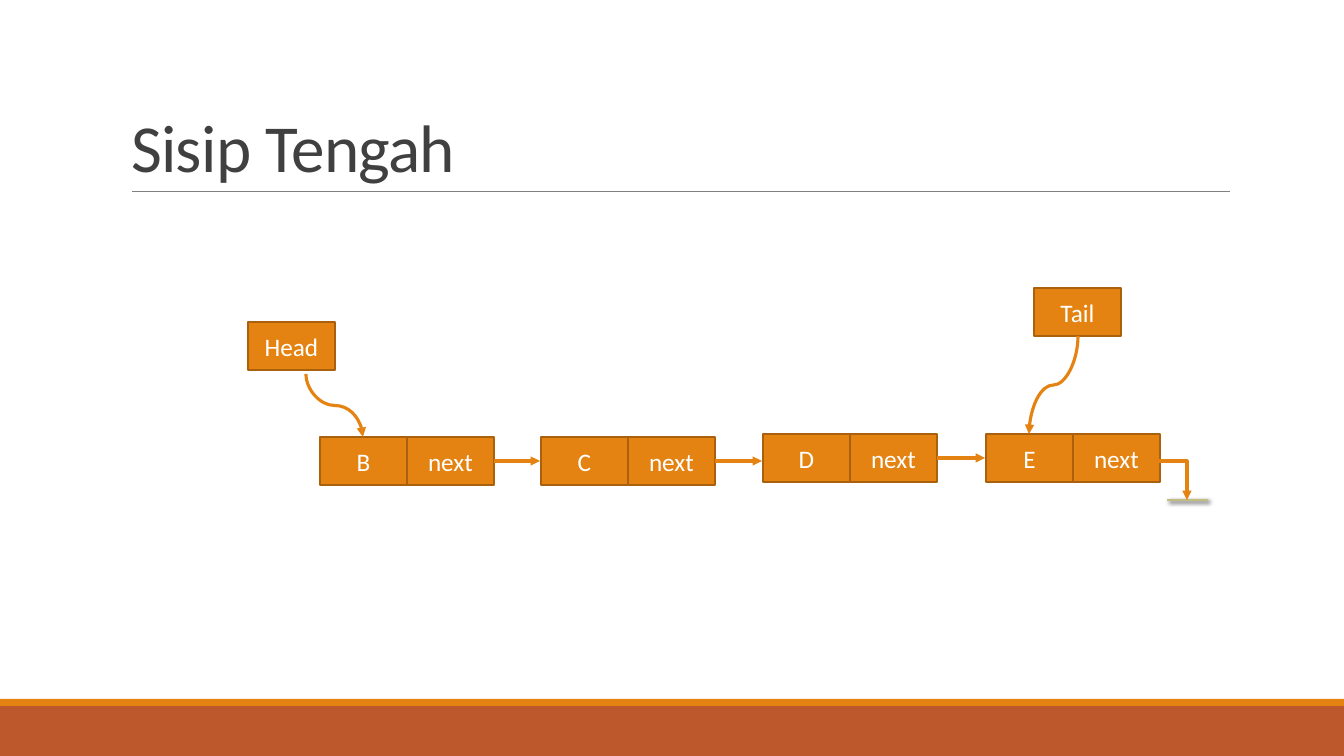
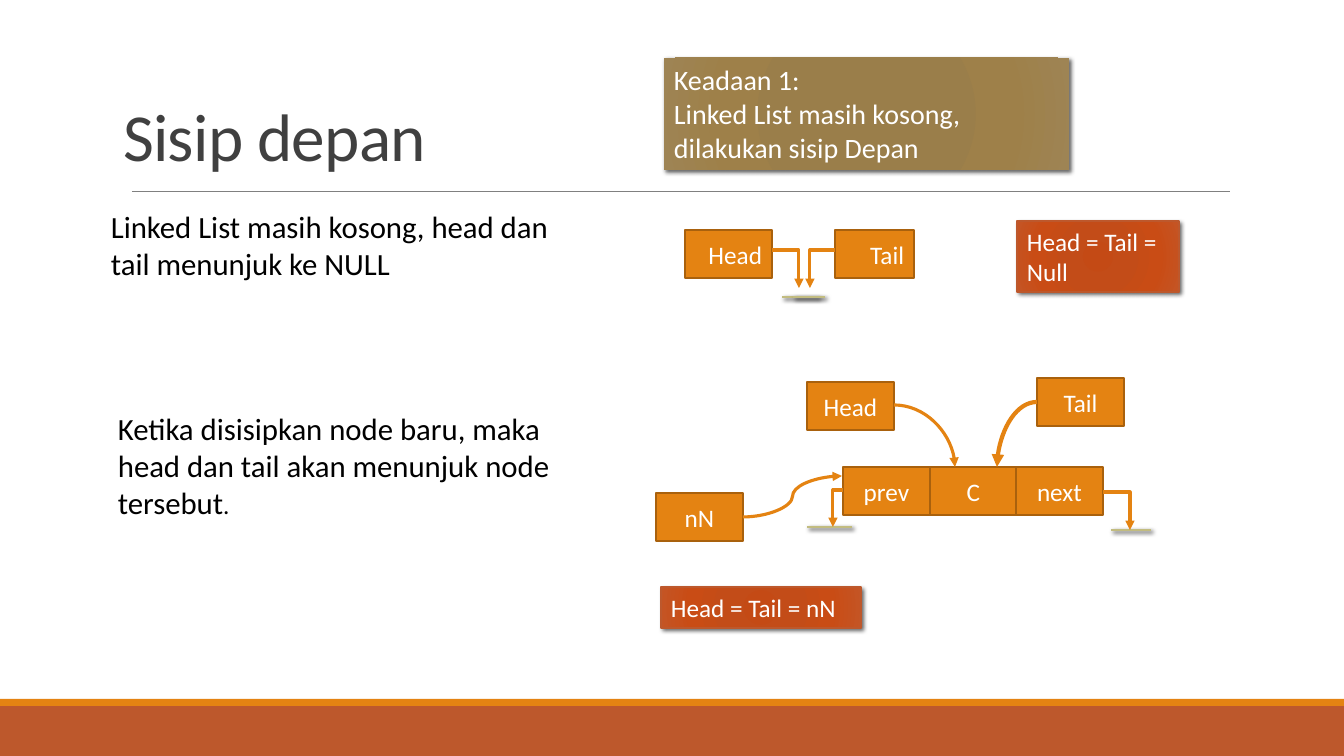
from lxml import etree
from pptx import Presentation
from pptx import util as u
from pptx.dml.color import RGBColor
from pptx.enum import shapes, text
from pptx.oxml import parse_xml
from pptx.oxml.ns import nsdecls, qn

WHITE = RGBColor(0xFF, 0xFF, 0xFF)
BLACK = RGBColor(0x00, 0x00, 0x00)
TITLE_GREY = RGBColor(0x40, 0x40, 0x40)
RULE_GREY = RGBColor(0x80, 0x80, 0x80)
ORANGE = RGBColor(0xE4, 0x83, 0x12)
DARK_ORANGE = RGBColor(0xA9, 0x61, 0x0D)
RUST = RGBColor(0xBD, 0x58, 0x2C)
KHAKI = RGBColor(0xC2, 0xBC, 0x80)
BROWN_STOPS = [RGBColor(0x9A, 0x7D, 0x48), RGBColor(0x9A, 0x7E, 0x4A),
               RGBColor(0x9E, 0x80, 0x49), RGBColor(0x9E, 0x84, 0x54)]
RED_STOPS = [RGBColor(0xC4, 0x4A, 0x15), RGBColor(0xC3, 0x4C, 0x18),
             RGBColor(0xC9, 0x4C, 0x15), RGBColor(0xC4, 0x55, 0x25)]
STOP_POSITIONS = [0, 34, 70, 100]

FONT = "Calibri"
WIDTH, HEIGHT = 1344, 756
SCALE = u.Inches(13.3333) / WIDTH
NODE_W, NODE_H = 87, 48
CENTER, RIGHT = text.PP_ALIGN.CENTER, text.PP_ALIGN.RIGHT
STRAIGHT = shapes.MSO_CONNECTOR.STRAIGHT
ELBOW = shapes.MSO_CONNECTOR.ELBOW
CURVE = shapes.MSO_CONNECTOR.CURVE
SHADOW = (
    '<a:outerShdw blurRad="38100" dist="25400" dir="2700000" algn="tl" rotWithShape="0">'
    '<a:srgbClr val="000000"><a:alpha val="60000"/></a:srgbClr></a:outerShdw>')


def px(*lengths):
    return [u.Emu(round(length * SCALE)) for length in lengths]


def set_effects(shape, effects=""):
    """Give the shape exactly these effects; none by default."""
    shape.element.spPr.append(
        parse_xml(f'<a:effectLst {nsdecls("a")}>{effects}</a:effectLst>'))


# Nodes: label, left, top, width, alignment
# Arrows: connector, preset or None, start, end, line width
# Upright arrows: start, end; these leave and arrive vertically
# Grounds: left, right, y
# Notes: box, size, colour, gradient stops, outlined, paragraphs of (text, size) runs
middle_chain = [("B", 320, 437), ("C", 541, 437), ("D", 763, 434), ("E", 986, 434)]
middle_nodes = [("Head", 248, 322, NODE_W, CENTER), ("Tail", 1034, 288, NODE_W, CENTER)]
for label, left, top in middle_chain:
    middle_nodes.append((label, left, top, NODE_W, CENTER))
    middle_nodes.append(("next", left + NODE_W, top, NODE_W, CENTER))
middle_arrows = [(ELBOW, "bentConnector2", (1159, 461), (1187, 500), 2.25)]
for (_, left, top), (_, following, _) in zip(middle_chain, middle_chain[1:]):
    y = top + NODE_H // 2
    middle_arrows.append((STRAIGHT, None, (left + 2 * NODE_W, y), (following - 1, y), 2.25))

contents = [
    {
        "title": "Sisip Tengah",
        "title_box": (121, 31, 1109, 160),
        "nodes": middle_nodes,
        "arrows": middle_arrows,
        "upright": [((306, 374), (363, 437)), ((1078, 336), (1029, 434))],
        "grounds": [(1167, 1208, 500)],
        "notes": [],
    },
    {
        "title": "Sisip depan",
        "title_box": (113, 65, 1072, 115),
        "nodes": [
            ("Head", 685, 230, NODE_W, RIGHT),
            ("Tail", 835, 230, 79, RIGHT),
            ("Head", 807, 382, NODE_W, CENTER),
            ("Tail", 1037, 378, NODE_W, CENTER),
            ("nN", 656, 493, NODE_W, CENTER),
            ("prev", 843, 467, NODE_W, CENTER),
            ("C", 930, 467, NODE_W, CENTER),
            ("next", 1016, 467, NODE_W, CENTER),
        ],
        "arrows": [
            (ELBOW, "bentConnector2", (772, 250), (799, 288), 2.25),
            (ELBOW, "bentConnector2", (835, 250), (810, 288), 2.25),
            (ELBOW, "bentConnector2", (1103, 492), (1130, 530), 2.25),
            (ELBOW, "bentConnector2", (843, 490), (833, 527), 2.25),
            (CURVE, "curvedConnector2", (894, 405), (955, 467), 2.25),
            (CURVE, "curvedConnector2", (1037, 402), (997, 467), 3),
            (CURVE, None, (743, 517), (842, 476), 2.25),
        ],
        "upright": [],
        "grounds": [(782, 819, 297), (793, 825, 297), (1111, 1151, 530), (807, 852, 527)],
        "notes": [
            ((101, 203, 459, 197), BLACK, None, False,
             [[("Linked List masih kosong, head dan tail menunjuk ke NULL", 22)]]),
            ((108, 405, 452, 152), BLACK, None, False,
             [[("Ketika disisipkan node baru, maka head dan tail akan menunjuk node tersebut", 22),
               (".", 18)]]),
            ((664, 58, 405, 112), WHITE, BROWN_STOPS, False,
             [[("Keadaan 1:", 20)],
              [("Linked List masih kosong, dilakukan sisip Depan", 20)]]),
            ((1017, 221, 162, 71), WHITE, RED_STOPS, True, [[("Head = Tail = Null", 18)]]),
            ((661, 587, 200, 41), WHITE, RED_STOPS, True, [[("Head = Tail = nN", 18)]]),
        ],
    },
]

prs = Presentation()
prs.slide_width, prs.slide_height = px(WIDTH, HEIGHT)
layout = prs.slide_layouts[5]
for placeholder in list(layout.placeholders)[1:]:
    placeholder.element.getparent().remove(placeholder.element)
slides = [prs.slides.add_slide(layout) for _ in contents]

# Bands and title rule are drawn once, then moved to the shared layout
canvas = slides[0].shapes
shared_parts = []
for top, height, colour in [(706, 50, RUST), (699, 7, ORANGE)]:
    band = canvas.add_shape(shapes.MSO_SHAPE.RECTANGLE, *px(0, top, WIDTH, height))
    band.fill.solid()
    band.fill.fore_color.rgb = colour
    band.line.fill.background()
    shared_parts.append(band)
title_rule = canvas.add_connector(STRAIGHT, *px(132, 191, 1230, 191))
title_rule.line.color.rgb = RULE_GREY
title_rule.line.width = u.Pt(0.5)
shared_parts.append(title_rule)
for part in shared_parts:
    set_effects(part)
    layout.shapes.element.append(part.element)

for slide, content in zip(slides, contents):
    title = slide.shapes.title
    title.left, title.top, title.width, title.height = px(*content["title_box"])
    title.text_frame.auto_size = text.MSO_AUTO_SIZE.NONE
    title.text_frame.vertical_anchor = text.MSO_ANCHOR.BOTTOM
    heading = title.text_frame.paragraphs[0]
    heading.alignment = text.PP_ALIGN.LEFT
    heading.line_spacing = 0.85
    run = heading.add_run()
    run.text = content["title"]
    run.font.name = FONT
    run.font.size = u.Pt(48)
    run.font.color.rgb = TITLE_GREY
    run.font._element.set("spc", "-50")

    for label, left, top, width, alignment in content["nodes"]:
        node = slide.shapes.add_shape(
            shapes.MSO_SHAPE.RECTANGLE, *px(left, top, width, NODE_H))
        node.shadow.inherit = False
        node.fill.solid()
        node.fill.fore_color.rgb = ORANGE
        node.line.color.rgb = DARK_ORANGE
        node.line.width = u.Pt(1.25)
        node.text_frame.vertical_anchor = text.MSO_ANCHOR.MIDDLE
        paragraph = node.text_frame.paragraphs[0]
        paragraph.alignment = alignment
        run = paragraph.add_run()
        run.text = label
        run.font.name = FONT
        run.font.size = u.Pt(18)
        run.font.color.rgb = WHITE

    for left, right, y in content["grounds"]:
        ground = slide.shapes.add_connector(STRAIGHT, *px(left, y, right, y))
        ground.line.color.rgb = KHAKI
        ground.line.width = u.Pt(2)
        set_effects(ground, SHADOW)

    arrows = [(*arrow, 0) for arrow in content["arrows"]]
    for (x1, y1), (x2, y2) in content["upright"]:
        # A quarter turn about the middle makes the curve leave vertically
        middle_x, middle_y = (x1 + x2) / 2, (y1 + y2) / 2
        side = 1 if x2 > x1 else -1
        reach, rise = side * (y2 - y1) / 2, abs(x2 - x1) / 2
        arrows.append((CURVE, None, (middle_x + reach, middle_y - rise),
                       (middle_x - reach, middle_y + rise), 2.25, 180 + side * 90))
    for kind, preset, start, end, weight, rotation in arrows:
        arrow = slide.shapes.add_connector(kind, *px(*start, *end))
        arrow.line.color.rgb = ORANGE
        arrow.line.width = u.Pt(weight)
        properties = arrow.element.spPr
        if preset:
            properties.find(qn("a:prstGeom")).set("prst", preset)
        if rotation:
            properties.find(qn("a:xfrm")).set("rot", str(rotation * 60000))
        etree.SubElement(properties.find(qn("a:ln")), qn("a:tailEnd"), type="triangle")
        set_effects(arrow)

    for box, colour, stops, outlined, paragraphs in content["notes"]:
        note = slide.shapes.add_textbox(*px(*box))
        frame = note.text_frame
        frame.word_wrap = True
        if stops:
            stop_list = "".join(
                f'<a:gs pos="{position * 1000}"><a:srgbClr val="{stop}"/></a:gs>'
                for position, stop in zip(STOP_POSITIONS, stops))
            gradient = parse_xml(
                f'<a:gradFill {nsdecls("a")} rotWithShape="1"><a:gsLst>{stop_list}</a:gsLst>'
                '<a:path path="circle"><a:fillToRect l="100000" t="100000" r="100000"'
                ' b="100000"/></a:path></a:gradFill>')
            properties = note.element.spPr
            properties.replace(properties.find(qn("a:noFill")), gradient)
            if outlined:
                note.line.color.rgb = RUST
                note.line.width = u.Pt(1)
            set_effects(note, SHADOW)
        for index, runs in enumerate(paragraphs):
            paragraph = frame.add_paragraph() if index else frame.paragraphs[0]
            for words, size in runs:
                run = paragraph.add_run()
                run.text = words
                run.font.name = FONT
                run.font.size = u.Pt(size)
                run.font.color.rgb = colour

prs.save("out.pptx")
